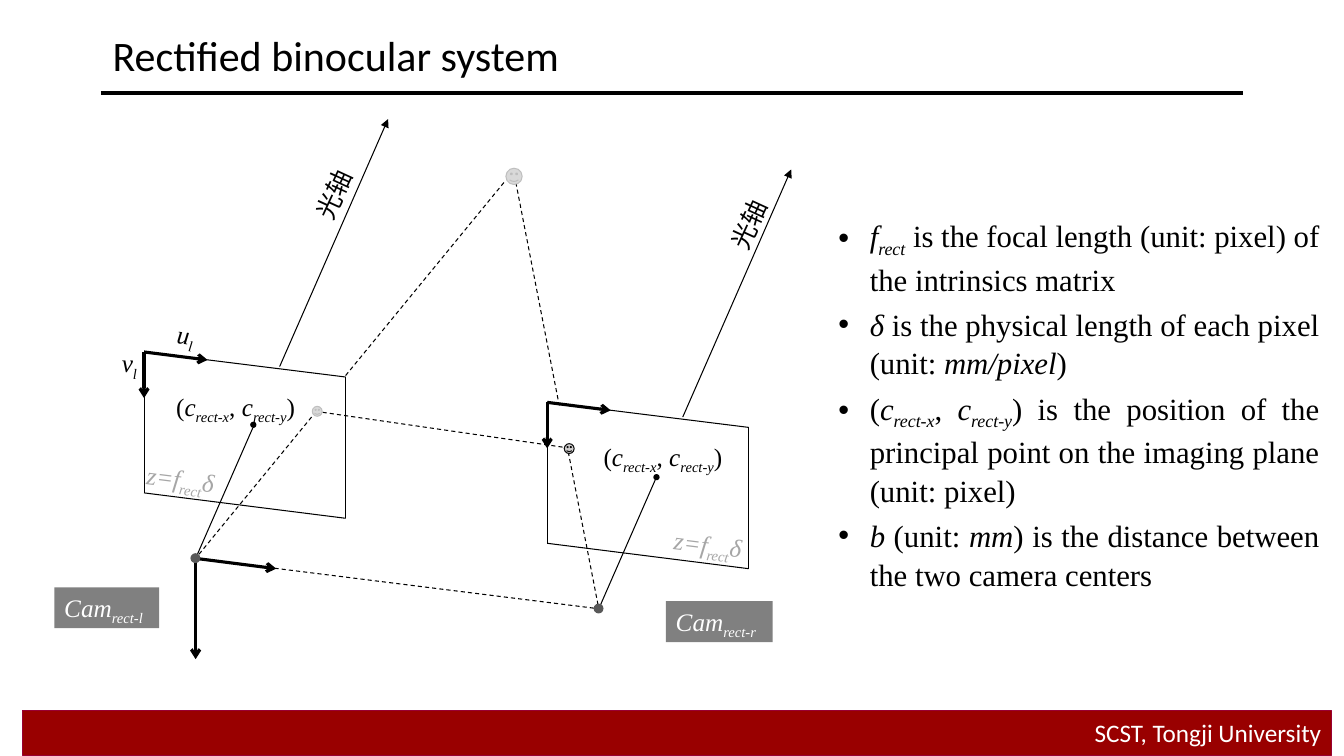
"""Builds the slide on the geometry of a rectified binocular system."""
from lxml import etree
from pptx import Presentation, util as u
from pptx.dml.color import RGBColor
from pptx.enum import dml, shapes, text
from pptx.oxml.ns import qn

BLACK = RGBColor(0x00, 0x00, 0x00)
WHITE = RGBColor(0xFF, 0xFF, 0xFF)
CRIMSON = RGBColor(0x99, 0x00, 0x00)
CRIMSON_EDGE = RGBColor(0x99, 0x00, 0x33)
CAMERA_GREY = RGBColor(0x59, 0x59, 0x59)
TAG_GREY = RGBColor(0x80, 0x80, 0x80)
PLANE_GREY = RGBColor(0xA6, 0xA6, 0xA6)
PALE_EDGE = RGBColor(0xBF, 0xBF, 0xBF)
PALE_GREY = RGBColor(0xD9, 0xD9, 0xD9)
POINT_GREY = RGBColor(0xD0, 0xCE, 0xCE)
POINT_EDGE = RGBColor(0x0D, 0x0D, 0x0D)
SERIF, SANS, CJK = "Times New Roman", "Calibri", "Noto Sans CJK SC"

deck = Presentation()
deck.slide_width, deck.slide_height = u.Cm(33.87), u.Cm(19.05)
slide = deck.slides.add_slide(deck.slide_layouts[6])


def draw_line(start, end, width=0.75, dashed=False, arrow=None):
    """Draws a black line between two points, with an optional arrowhead at its end."""
    line = slide.shapes.add_connector(
        shapes.MSO_CONNECTOR.STRAIGHT, *(u.Cm(v) for v in (*start, *end)))
    line.line.color.rgb = BLACK
    line.line.width = u.Pt(width)
    if dashed:
        line.line.dash_style = dml.MSO_LINE.DASH
    if arrow:
        etree.SubElement(line.line._get_or_add_ln(), qn("a:tailEnd"), type=arrow)
    etree.SubElement(line._element.spPr, qn("a:effectLst"))


def write(paragraph, marked, size, color, font=SERIF):
    """Fills a paragraph; * switches italics and _ switches subscript."""
    for i, slanted in enumerate(marked.split("*")):
        for j, piece in enumerate(slanted.split("_")):
            if not piece:
                continue
            run = paragraph.add_run()
            run.text = piece
            run.font.size = u.Pt(size)
            run.font.italic = i % 2 == 1
            run.font.color.rgb = color
            run.font.name = font
            properties = run._r.get_or_add_rPr()
            etree.SubElement(properties, qn("a:ea"), typeface=font)
            if j % 2:
                properties.set("baseline", "-25000")


draw_line((2.54, 2.34), (31.32, 2.34), width=3)

footer = slide.shapes.add_shape(
    shapes.MSO_SHAPE.RECTANGLE, u.Cm(0.56), u.Cm(17.9), u.Cm(32.99), u.Cm(1.13))
footer.shadow.inherit = False
footer.fill.solid()
footer.fill.fore_color.rgb = CRIMSON
footer.line.color.rgb = CRIMSON_EDGE
footer.line.width = u.Pt(0.75)
footer.text_frame.vertical_anchor = text.MSO_ANCHOR.MIDDLE
university = footer.text_frame.paragraphs[0]
university.alignment = text.PP_ALIGN.RIGHT
write(university, "SCST, Tongji University", 18, WHITE, SANS)

title = slide.shapes.add_textbox(u.Cm(2.59), u.Cm(0.2), u.Cm(30.48), u.Cm(2.34)).text_frame
title.word_wrap = True
title.vertical_anchor = text.MSO_ANCHOR.MIDDLE
write(title.paragraphs[0], "Rectified binocular system", 30, BLACK, SANS)

definitions = slide.shapes.add_textbox(
    u.Cm(19.61), u.Cm(5.28), u.Cm(13.89), u.Cm(9.35)).text_frame
definitions.word_wrap = True
for n, definition in enumerate((
        "*f_rect_* is the focal length (unit: pixel) of the intrinsics matrix",
        "*δ* is the physical length of each pixel (unit: *mm/pixel*)",
        "(*c_rect-x_*, *c_rect-y_*) is the position of the principal point "
        "on the imaging plane (unit: pixel)",
        "*b* (unit: *mm*) is the distance between the two camera centers")):
    item = definitions.add_paragraph() if n else definitions.paragraphs[0]
    item.alignment = text.PP_ALIGN.JUSTIFY
    item.line_spacing = 1.05
    if n:
        item.space_before = u.Pt(4.4)
    layout = item._p.get_or_add_pPr()
    layout.set("marL", str(u.Cm(2.06)))
    layout.set("indent", str(u.Cm(-0.79)))
    etree.SubElement(layout, qn("a:buFont"), typeface="Arial")
    etree.SubElement(layout, qn("a:buChar"), char="•")
    write(item, definition, 22, BLACK)

baseline = (10.16, 1.27)
left_camera = (4.93, 14.07)
right_camera = (15.09, 15.34)
draw_line((12.7, 4.6), left_camera, dashed=True)
draw_line((13.0, 4.6), right_camera, dashed=True)

masks = [(13.54, 10.29, 2.11, 0.91), (6.63, 9.4, 2.11, 1.02)]
for dx, dy in ((0, 0), baseline):
    camera, axis_tip, top_left, top_right, bottom_right, bottom_left, u_tip, v_tip = (
        (x + dx, y + dy) for x, y in (
            left_camera, (9.78, 3), (3.63, 8.87), (8.71, 9.5), (8.71, 13.06),
            (3.63, 12.42), (5.23, 9.07), (3.63, 10.03)))
    draw_line(camera, axis_tip, arrow="triangle")
    masks.append((5.66 + dx, 9.22 + dy, 2.26, 1.6))
    while masks:
        mask = slide.shapes.add_shape(
            shapes.MSO_SHAPE.PARALLELOGRAM, *(u.Cm(v) for v in masks.pop(0)))
        mask.rotation = 7
        mask.shadow.inherit = False
        mask.fill.solid()
        mask.fill.fore_color.rgb = WHITE
        mask.line.color.rgb = WHITE
        mask.line.width = u.Pt(0.25)
    corners = (top_left, top_right, bottom_right, bottom_left)
    for n, corner in enumerate(corners):
        draw_line(corner, corners[(n + 1) % 4])
    for tip in (u_tip, v_tip):
        draw_line(top_left, tip, width=2.25, arrow="arrow")

for tip in ((4.93, 16.61), (6.96, 14.33)):
    draw_line(left_camera, tip, width=2.25, arrow="arrow")
draw_line(left_camera, right_camera, dashed=True)
draw_line((8.13, 10.39), (14.27, 11.28), dashed=True)

DOT, FACE = shapes.MSO_SHAPE.OVAL, shapes.MSO_SHAPE.SMILEY_FACE
for kind, x, y, size, fill, edge in (
        (DOT, 4.8, 13.94, 0.25, CAMERA_GREY, None),
        (DOT, 14.96, 15.21, 0.25, CAMERA_GREY, None),
        (DOT, 6.32, 10.64, 0.13, BLACK, BLACK),
        (DOT, 16.48, 11.96, 0.13, BLACK, BLACK),
        (FACE, 7.87, 10.24, 0.25, PALE_GREY, PALE_EDGE),
        (FACE, 14.22, 11.18, 0.25, POINT_GREY, POINT_EDGE),
        (FACE, 12.75, 4.24, 0.41, PALE_GREY, PALE_EDGE)):
    point = slide.shapes.add_shape(kind, u.Cm(x), u.Cm(y), u.Cm(size), u.Cm(size))
    point.shadow.inherit = False
    point.fill.solid()
    point.fill.fore_color.rgb = fill
    if edge is None:
        point.line.fill.background()
    else:
        point.line.color.rgb = edge
        point.line.width = u.Pt(0.75)

for marked, x, y, width, angle, color, font, fill in (
        ("*z=f_rect_δ*", 3.45, 11.56, 2.31, 7.2, PLANE_GREY, SERIF, None),
        ("*z=f_rect_δ*", 16.74, 13.21, 2.31, 7.2, PLANE_GREY, SERIF, None),
        ("*u_l_*", 4.22, 7.92, 0.97, 7, BLACK, SERIF, None),
        ("*v_l_*", 2.82, 8.64, 0.91, 0, BLACK, SERIF, None),
        ("光轴", 17.98, 5.13, 1.8, 294.7, BLACK, CJK, None),
        ("光轴", 7.52, 4.37, 1.8, 294.7, BLACK, CJK, None),
        ("*Cam_rect-l_*", 1.37, 14.8, 2.64, 0, WHITE, SERIF, TAG_GREY),
        ("*Cam_rect-r_*", 16.78, 15.15, 2.69, 0, WHITE, SERIF, TAG_GREY),
        ("(*c_rect-x_*, *c_rect-y_*)", 4.19, 9.73, 3.81, 0, BLACK, SERIF, None),
        ("(*c_rect-x_*, *c_rect-y_*)", 14.96, 11, 3.81, 0, BLACK, SERIF, None)):
    label = slide.shapes.add_textbox(u.Cm(x), u.Cm(y), u.Cm(width), u.Cm(1.03))
    label.rotation = angle
    label.text_frame.word_wrap = False
    if fill is not None:
        label.fill.solid()
        label.fill.fore_color.rgb = fill
    write(label.text_frame.paragraphs[0], marked, 18, color, font)

deck.save("out.pptx")
